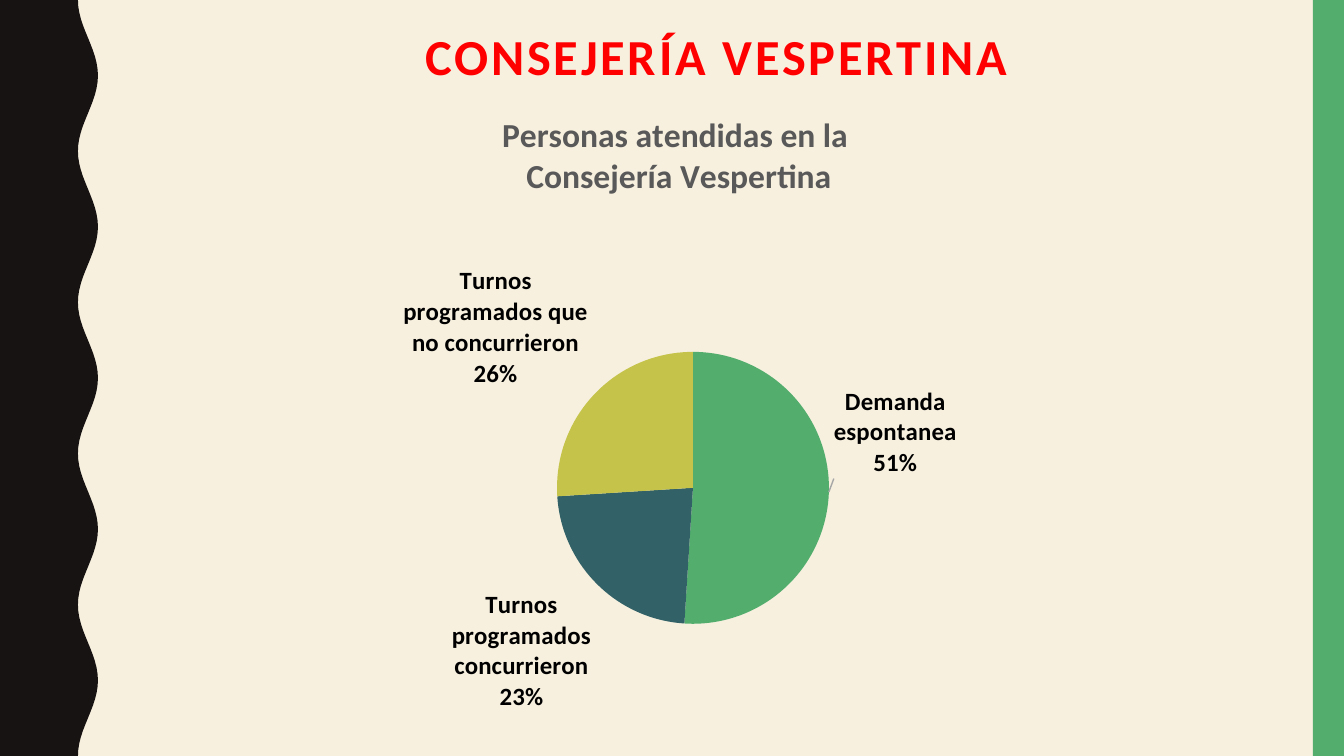
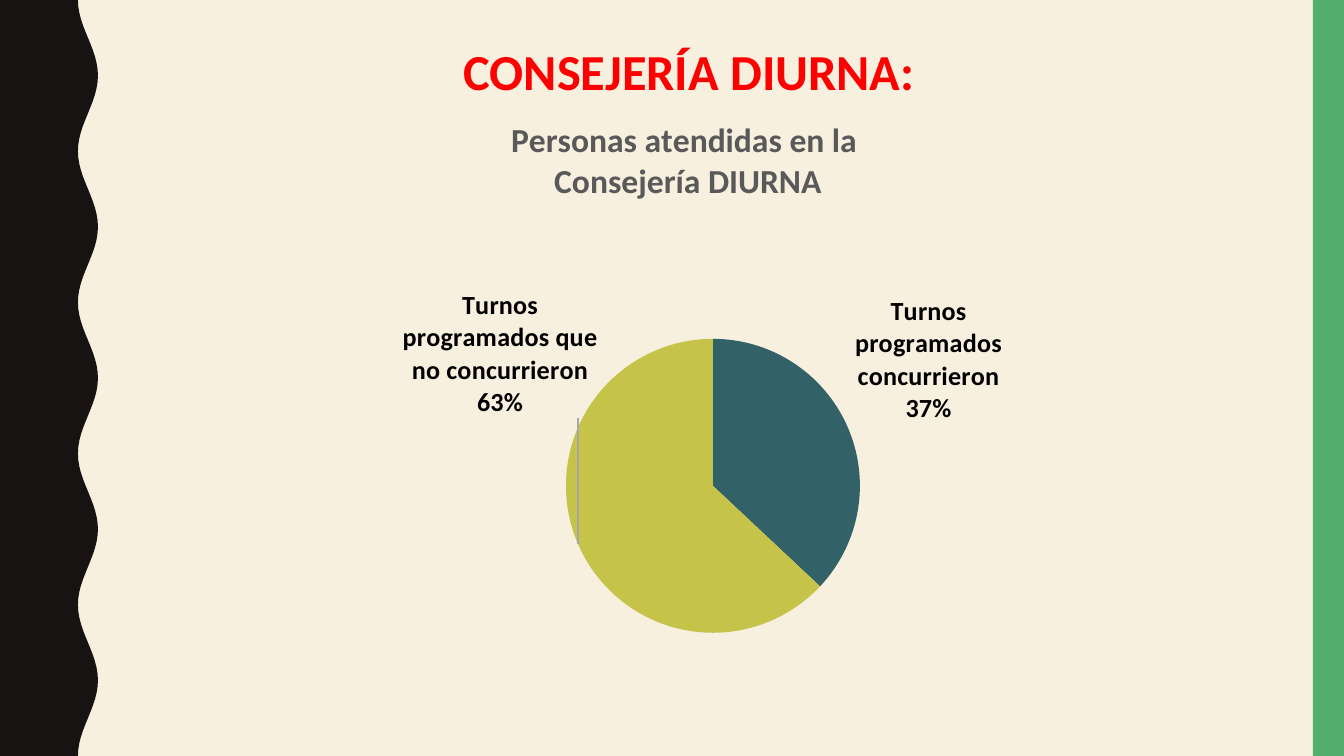
import copy
import math

import pptx
import pptx.chart.data
import pptx.dml.color
import pptx.enum.chart
import pptx.enum.shapes
import pptx.enum.text
import pptx.oxml
import pptx.oxml.ns
import pptx.util

PX = 9144000 / 1344
WIDTH, HEIGHT = 1344, 756
FONT = "Calibri"
CREAM, INK, GREEN = "F7F0DF", "171312", "53AE6E"
RED, GREY, BLACK, LEADER = "FF0000", "595959", "000000", "A6A6A6"
SLICES = [GREEN, "326267", "C5C34A"]
CHART_NS = pptx.oxml.ns.nsdecls("c", "a")


def px(length):
    return pptx.util.Emu(round(length * PX))


def color(value):
    return pptx.dml.color.RGBColor.from_string(value)


def style_font(font, size, shade):
    font.name = FONT
    font.size = pptx.util.Pt(size)
    font.bold = True
    font.color.rgb = color(shade)


def place(parent, index, target="", **fractions):
    """Give a chart part a manual layout at its index among the siblings."""
    for old in parent.findall(pptx.oxml.ns.qn("c:layout")):
        parent.remove(old)
    modes = "".join(f'<c:{axis}Mode val="edge"/>' for axis in "xy") if target != "offset" else ""
    inner = '<c:layoutTarget val="inner"/>' if target == "inner" else ""
    values = "".join(f'<c:{key} val="{value:.4f}"/>' for key, value in fractions.items())
    parent.insert(index, pptx.oxml.parse_xml(
        f"<c:layout {CHART_NS}><c:manualLayout>{inner}{modes}{values}"
        "</c:manualLayout></c:layout>"))


class Slides:
    def __init__(self):
        self.deck = pptx.Presentation()
        self.deck.slide_width, self.deck.slide_height = px(WIDTH), px(HEIGHT)
        self.layout = self.deck.slide_layouts[5]
        fill = self.deck.slide_master.background.fill
        fill.solid()
        fill.fore_color.rgb = color(CREAM)
        self.page = None

    def new_page(self):
        first = self.page is None
        self.page = self.deck.slides.add_slide(self.layout)
        if first:
            self.frame()

    # Wavy left edge and right band, kept on the layout
    def frame(self):
        waves, steps, fine = 5, 120, 100
        outline = self.page.shapes.build_freeform(0, 0, scale=PX / fine)
        edge = [(fine * (88 - 10 * math.cos(2 * math.pi * waves * step / steps)),
                 fine * HEIGHT * step / steps) for step in range(steps + 1)]
        outline.add_line_segments(edge + [(0, fine * HEIGHT)], close=True)
        wave = outline.convert_to_shape()
        band = self.page.shapes.add_shape(
            pptx.enum.shapes.MSO_SHAPE.RECTANGLE, px(1313), 0, px(31), px(HEIGHT))
        for number, (shape, shade) in enumerate([(wave, INK), (band, GREEN)]):
            shape.fill.solid()
            shape.fill.fore_color.rgb = color(shade)
            shape.line.fill.background()
            shape.shadow.inherit = False
            shape.element.nvSpPr.cNvPr.id = 100 + number
            self.layout.shapes.element.insert(2 + number, shape.element)

    def title(self, text, left, top, width, height, inset, line_spacing=1.0, tracking=0):
        box = self.page.shapes.title
        box.left, box.top, box.width, box.height = map(px, (left, top, width, height))
        frame = box.text_frame
        frame.text = text
        frame.word_wrap = True
        frame.auto_size = pptx.enum.text.MSO_AUTO_SIZE.NONE
        frame.vertical_anchor = pptx.enum.text.MSO_ANCHOR.TOP
        frame.margin_top = frame.margin_bottom = px(inset)
        para = frame.paragraphs[0]
        para.alignment = pptx.enum.text.PP_ALIGN.CENTER
        para.line_spacing = line_spacing
        style_font(para.font, 27, RED)
        para.font._element.set("spc", str(tracking))

    def pie(self, frame, heading, heading_at, categories, values, pie_at, label_size, moved, shift):
        """Positions are slide px; shift moves the label of one slice by px."""
        left, top, width, height = frame
        data = pptx.chart.data.CategoryChartData()
        data.categories = categories
        data.add_series("Series 1", values)
        chart = self.page.shapes.add_chart(
            pptx.enum.chart.XL_CHART_TYPE.PIE, *map(px, frame), data).chart
        chart.has_legend = False
        chart.font.name = FONT
        chart.font.size = pptx.util.Pt(10)
        chart.font.color.rgb = color(BLACK)

        # Heading
        chart.has_title = True
        text = chart.chart_title.text_frame
        text.text = heading
        for para in text.paragraphs:
            style_font(para.font, 18, GREY)
        x, y = heading_at
        place(chart.element.xpath(".//c:chart/c:title")[0], 1,
              x=(x - left) / width, y=(y - top) / height)

        # Slices
        plot = chart.plots[0]
        plot.vary_by_categories = True
        series = plot.series[0]
        for index, shade in enumerate(SLICES):
            fill = series.points[index].format.fill
            fill.solid()
            fill.fore_color.rgb = color(shade)
        x, y, size = pie_at
        place(chart.element.xpath(".//c:plotArea")[0], 0, "inner",
              x=(x - left) / width, y=(y - top) / height, w=size / width, h=size / height)

        # Labels with the category above the percentage
        labels = series.data_labels
        labels.show_value = False
        labels.show_category_name = labels.show_percentage = True
        labels.number_format, labels.number_format_is_linked = "0%", False
        labels.position = pptx.enum.chart.XL_LABEL_POSITION.OUTSIDE_END
        style_font(labels.font, label_size, BLACK)
        group = chart.element.xpath(".//c:ser/c:dLbls")[0]
        leader = group.find(pptx.oxml.ns.qn("c:showLeaderLines"))
        leader.addprevious(pptx.oxml.parse_xml(
            f"<c:separator {CHART_NS}>\n</c:separator>"))
        leader.addnext(pptx.oxml.parse_xml(
            f'<c:leaderLines {CHART_NS}><c:spPr><a:ln w="9525"><a:solidFill>'
            f'<a:srgbClr val="{LEADER}"/></a:solidFill></a:ln></c:spPr></c:leaderLines>'))

        # The one label that is moved keeps the shared settings
        single = pptx.oxml.parse_xml(f'<c:dLbl {CHART_NS}><c:idx val="{moved}"/></c:dLbl>')
        for setting in group:
            if "eader" not in setting.tag:
                single.append(copy.deepcopy(setting))
        place(single, 1, "offset", x=shift[0] / width, y=shift[1] / height)
        group.insert(0, single)


def main():
    slides = Slides()
    attended, missed = "Turnos programados concurrieron", "Turnos programados que no concurrieron"

    # Evening counselling
    slides.new_page()
    slides.title("CONSEJERÍA VESPERTINA", 130, 19, 1173, 90, 13, 0.9, 150)
    slides.pie((160, 89, 1039, 649), "Personas atendidas en la \nConsejería Vespertina",
               (498, 109), ["Demanda espontanea", attended, missed], [51, 23, 26],
               (557, 352, 272), 13.3, 0, (-3, -60))

    # Daytime counselling
    slides.new_page()
    slides.title("CONSEJERÍA DIURNA:", 353, 33, 672, 75, 7)
    slides.pie((142, 94, 1093, 628), "Personas atendidas en la \nConsejería DIURNA",
               (507, 114), ["", attended, missed], [None, 37, 63],
               (566, 339, 294), 14, 2, (27, -258))

    slides.deck.save("out.pptx")


if __name__ == "__main__":
    main()
